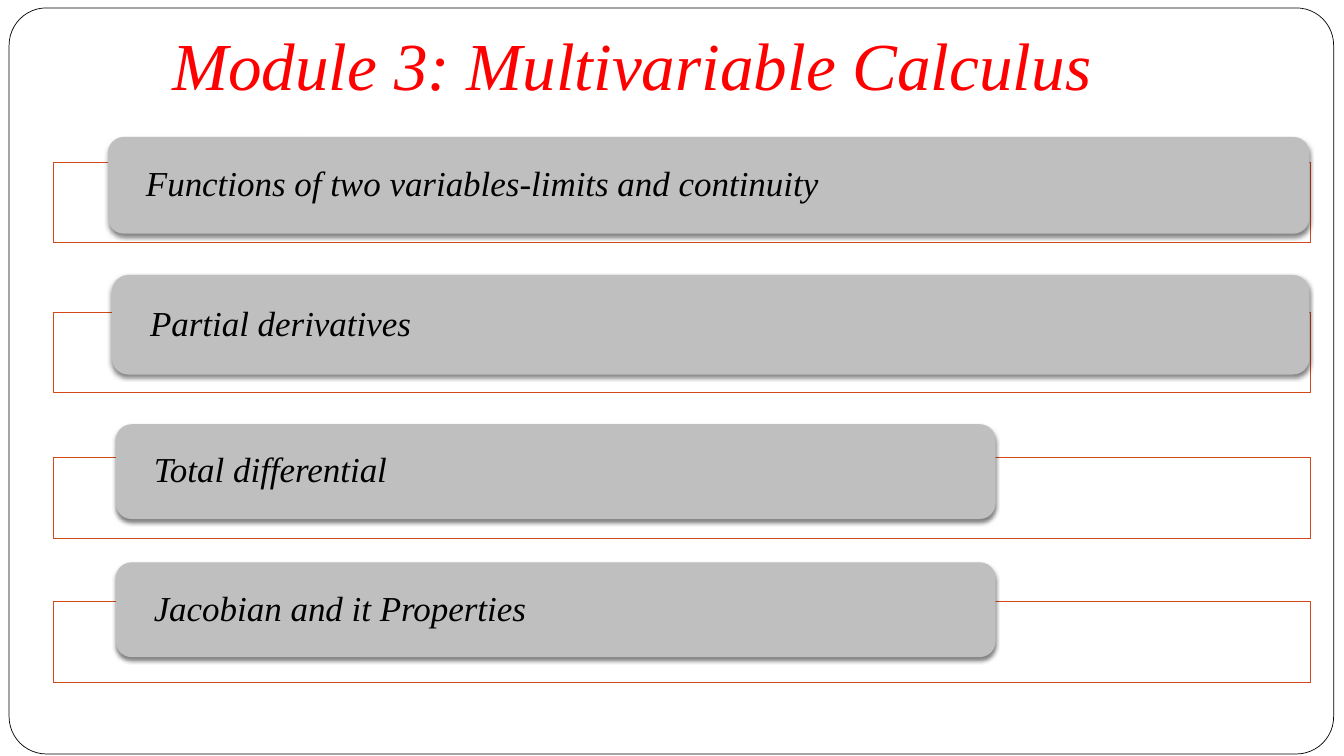
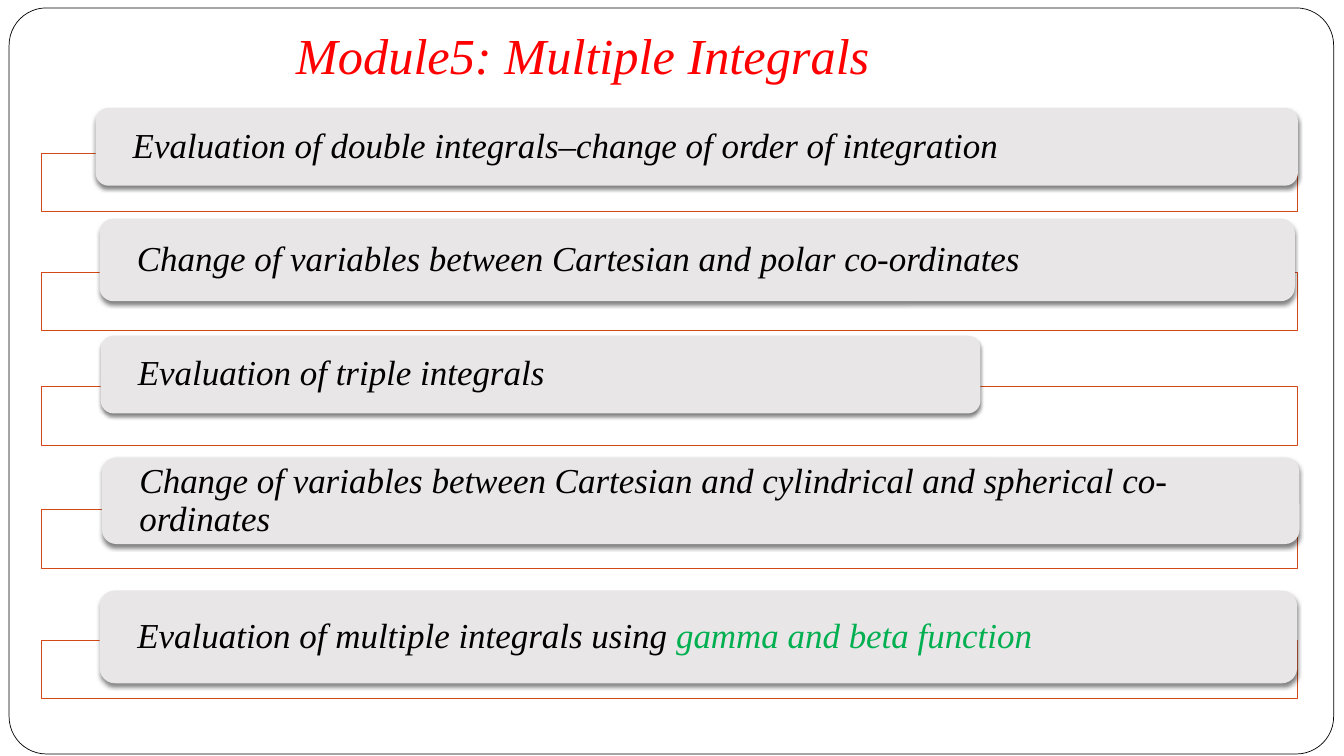
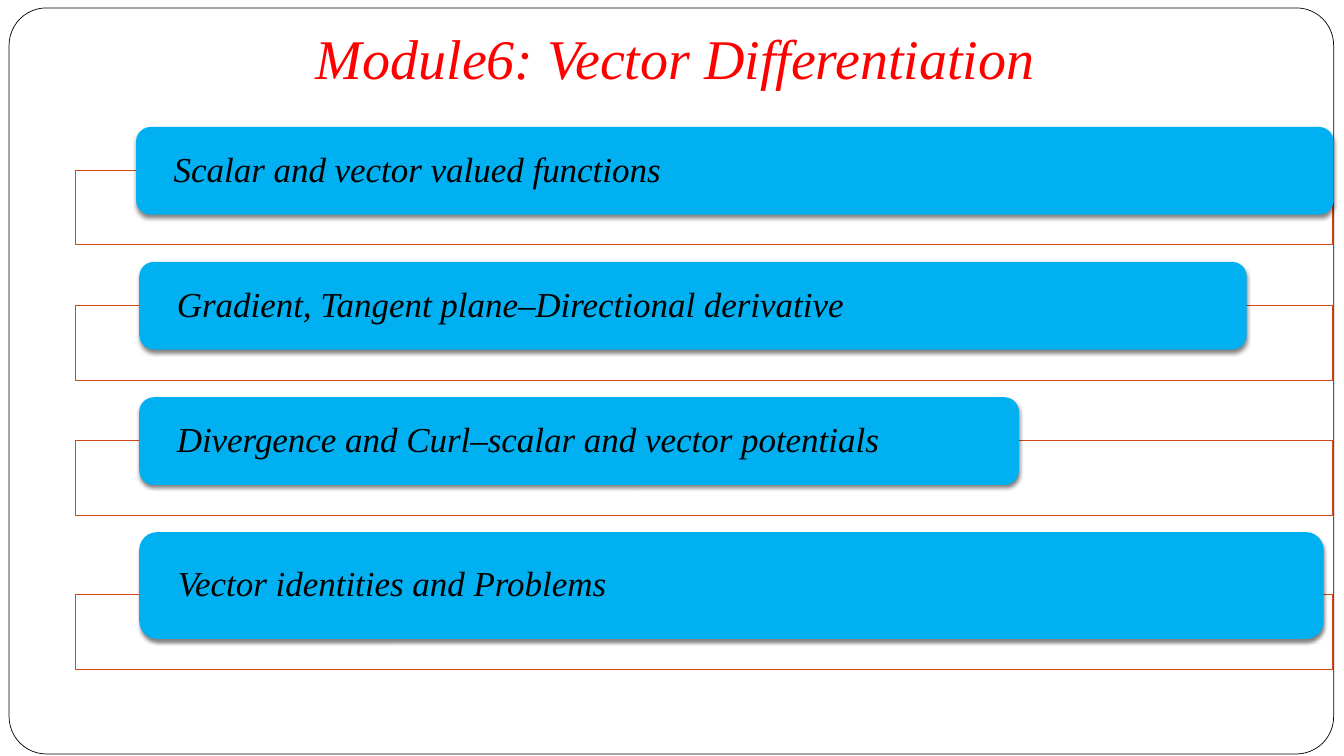
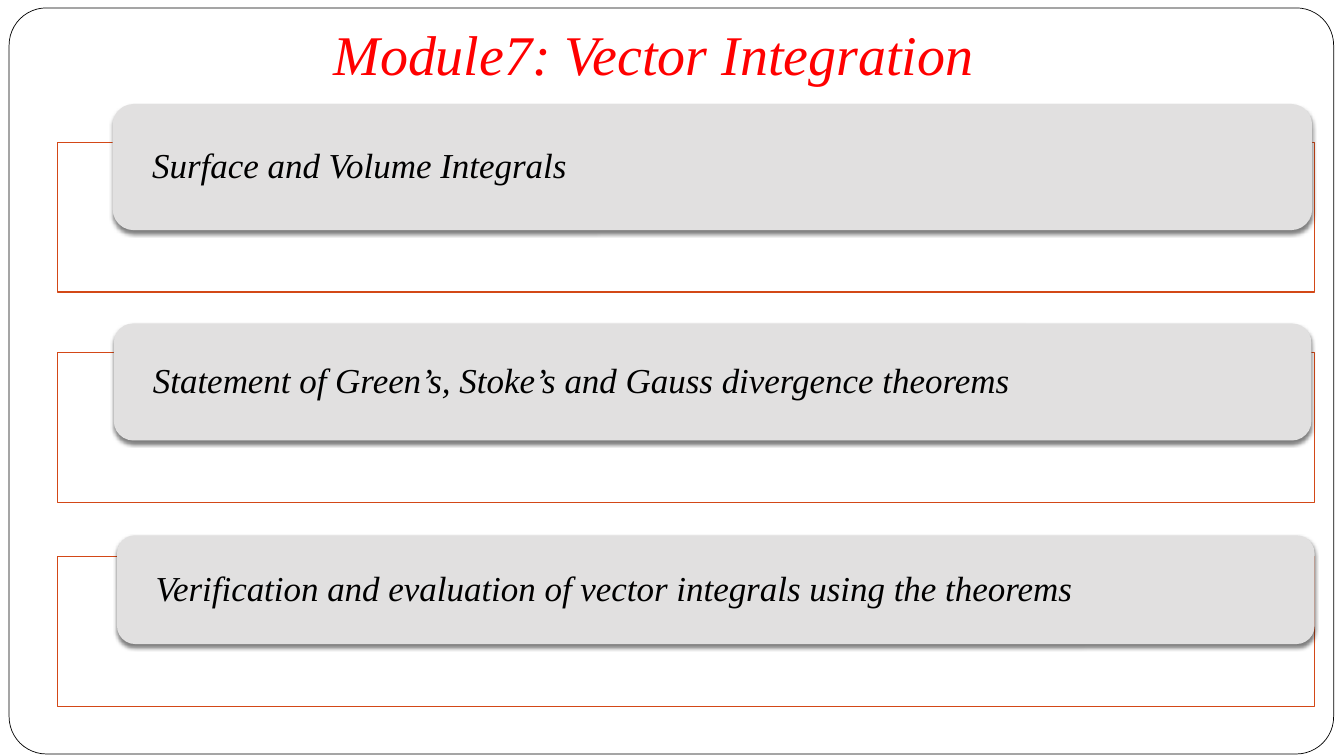
from dataclasses import dataclass

from lxml import etree
from pptx import Presentation
from pptx.dml.color import RGBColor
from pptx.enum.shapes import MSO_SHAPE
from pptx.enum.text import MSO_ANCHOR, MSO_AUTO_SIZE, PP_ALIGN
from pptx.oxml.ns import qn
from pptx.shapes.autoshape import Shape
from pptx.slide import Slide, SlideMaster
from pptx.text.text import TextFrame
from pptx.util import Cm, Pt

RECT, ROUNDED = MSO_SHAPE.RECTANGLE, MSO_SHAPE.ROUNDED_RECTANGLE
LEFT, CENTER = PP_ALIGN.LEFT, PP_ALIGN.CENTER
MIDDLE, GROW = MSO_ANCHOR.MIDDLE, MSO_AUTO_SIZE.SHAPE_TO_FIT_TEXT

COLORS = {
    "paper": "FFFFFF",
    "ink": "000000",
    "title": "FF0000",
    "outline": "D34817",
    "highlight": "00B050",
    "gray": "BFBFBF",
    "warm": "E9E6E7",
    "blue": "00B0F0",
    "light": "E1E0E0",
}
FONT = {"name": "Times New Roman", "italic": True}
TOPIC_SIZE = 25
OUTLINE_WIDTH = 31.67  # cm
TOPIC_FRAME = {
    "word_wrap": True,
    "vertical_anchor": MIDDLE,
    "margin_left": Cm(0.84),
    "margin_right": Cm(0.84),
    "margin_top": 0,
    "margin_bottom": 0,
}
TITLE_FRAME = {"word_wrap": True, "auto_size": GROW}


@dataclass(frozen=True)
class Box:
    """Lengths in centimetres."""
    left: float
    top: float
    width: float
    height: float

    def emu(self) -> tuple[Cm, Cm, Cm, Cm]:
        return Cm(self.left), Cm(self.top), Cm(self.width), Cm(self.height)


@dataclass(frozen=True)
class Topic:
    text: str
    outline_top: float
    bar: Box
    highlight: str = ""


@dataclass(frozen=True)
class Module:
    title: str
    title_box: Box
    title_size: int
    title_align: PP_ALIGN
    bar_color: str
    outline_left: float
    outline_height: float
    topics: tuple[Topic, ...]


MODULES = (
    Module(
        "Module 3: Multivariable Calculus", Box(4.09, 0.46, 25.15, 2.31), 48, LEFT,
        "gray", 1.35, 2.03,
        (
            Topic("Functions of two variables-limits and continuity", 4.09,
                  Box(2.72, 3.45, 30.28, 2.44)),
            Topic("Partial derivatives", 7.87, Box(2.82, 6.93, 30.18, 2.51)),
            Topic("Total differential", 11.53, Box(2.92, 10.69, 22.17, 2.39)),
            Topic("Jacobian and it Properties", 15.16, Box(2.92, 14.17, 22.17, 2.39)),
        ),
    ),
    Module(
        "Module5: Multiple Integrals", Box(7.21, 0.48, 15.82, 1.8), 36, LEFT,
        "warm", 1.04, 1.47,
        (
            Topic("Evaluation of double integrals–change of order of integration", 3.86,
                  Box(2.41, 2.72, 30.3, 1.96)),
            Topic("Change of variables between Cartesian and polar co-ordinates", 6.86,
                  Box(2.51, 5.51, 30.12, 2.08)),
            Topic("Evaluation of triple integrals", 9.75, Box(2.54, 8.46, 22.17, 1.96)),
            Topic("Change of variables between Cartesian and cylindrical and "
                  "spherical co-ordinates", 12.85, Box(2.57, 11.53, 30.18, 2.18)),
            Topic("Evaluation of multiple integrals using ", 16.13,
                  Box(2.51, 14.88, 30.18, 2.34), "gamma and beta function"),
        ),
    ),
    Module(
        "Module6: Vector Differentiation", Box(6.68, 0.48, 20.68, 1.96), 40, CENTER,
        "blue", 1.91, 1.88,
        (
            Topic("Scalar and vector valued functions", 4.29, Box(3.43, 3.2, 30.18, 2.21)),
            Topic("Gradient, Tangent plane–Directional derivative", 7.7,
                  Box(3.51, 6.6, 27.91, 2.21)),
            Topic("Divergence and Curl–scalar and vector potentials", 11.1,
                  Box(3.51, 10.01, 22.17, 2.21)),
            Topic("Vector identities and Problems", 14.99, Box(3.51, 13.41, 29.85, 2.69)),
        ),
    ),
    Module(
        "Module7: Vector Integration", Box(7.34, 0.36, 18.26, 1.96), 40, CENTER,
        "light", 1.45, 3.78,
        (
            Topic("Surface and Volume Integrals", 3.58, Box(2.84, 2.62, 30.23, 3.18)),
            Topic("Statement of Green’s, Stoke’s and Gauss divergence theorems", 8.89,
                  Box(2.87, 8.15, 30.18, 2.95)),
            Topic("Verification and evaluation of vector integrals using the theorems", 14.02,
                  Box(2.95, 13.49, 30.18, 2.74)),
        ),
    ),
)


def rgb(color: str) -> RGBColor:
    return RGBColor.from_string(COLORS[color])


def apply_format(target: object, values: dict[str, object]) -> None:
    for name, value in values.items():
        setattr(target, name, value)


# Shapes
def add_panel(slide: Slide, kind: MSO_SHAPE, box: Box, fill: str,
              line: str = "", line_width: float = 0) -> Shape:
    panel = slide.shapes.add_shape(kind, *box.emu())
    panel.shadow.inherit = False
    panel.fill.solid()
    panel.fill.fore_color.rgb = rgb(fill)
    if line:
        panel.line.color.rgb = rgb(line)
        panel.line.width = Pt(line_width)
    else:
        panel.line.fill.background()
    return panel


def set_alpha(color_element: etree.ElementBase, percent: int) -> None:
    etree.SubElement(color_element, qn("a:alpha"), val=str(percent * 1000))


def add_soft_shadow(bar: Shape) -> None:
    effects = bar.element.spPr.find(qn("a:effectLst"))
    shadow = etree.SubElement(effects, qn("a:outerShdw"), blurRad=str(Pt(3)),
                              dist=str(Pt(2)), dir="5400000", rotWithShape="0")
    set_alpha(etree.SubElement(shadow, qn("a:srgbClr"), val=COLORS["ink"]), 50)


# Text
def add_run(frame: TextFrame, text: str, size: int, color: str) -> None:
    run = frame.paragraphs[0].add_run()
    run.text = text
    apply_format(run.font, FONT | {"size": Pt(size)})
    run.font.color.rgb = rgb(color)


def add_title(slide: Slide, module: Module) -> None:
    frame = slide.shapes.add_textbox(*module.title_box.emu()).text_frame
    apply_format(frame, TITLE_FRAME)
    frame.paragraphs[0].alignment = module.title_align
    add_run(frame, module.title, module.title_size, "title")


# Topic: thin outline with a labelled bar over it
def add_topic(slide: Slide, module: Module, topic: Topic) -> None:
    outline_box = Box(module.outline_left, topic.outline_top,
                      OUTLINE_WIDTH, module.outline_height)
    outline = add_panel(slide, RECT, outline_box, "paper", "outline", 0.75)
    set_alpha(outline.element.spPr.find(qn("a:solidFill"))[0], 90)

    bar = add_panel(slide, ROUNDED, topic.bar, module.bar_color)
    add_soft_shadow(bar)
    frame = bar.text_frame
    apply_format(frame, TOPIC_FRAME)
    apply_format(frame.paragraphs[0], {"alignment": LEFT, "line_spacing": 0.9})
    add_run(frame, topic.text, TOPIC_SIZE, "ink")
    if topic.highlight:
        add_run(frame, topic.highlight, TOPIC_SIZE, "highlight")


# Page border, moved to the master so that every slide shows it
def add_master_border(slide: Slide, master: SlideMaster) -> None:
    border = add_panel(slide, ROUNDED, Box(0.23, 0.2, 33.38, 18.8), "paper", "ink", 0.5)
    border.adjustments[0] = 0.05
    border.element.nvSpPr.cNvPr.set("id", "20")
    master.shapes.element.insert(2, border.element)


def main() -> None:
    deck = Presentation()
    deck.slide_width, deck.slide_height = Cm(33.87), Cm(19.05)
    blank = deck.slide_layouts[6]
    for number, module in enumerate(MODULES):
        slide = deck.slides.add_slide(blank)
        if number == 0:
            add_master_border(slide, deck.slide_master)
        for topic in module.topics:
            add_topic(slide, module, topic)
        add_title(slide, module)
    deck.save("out.pptx")


main()
